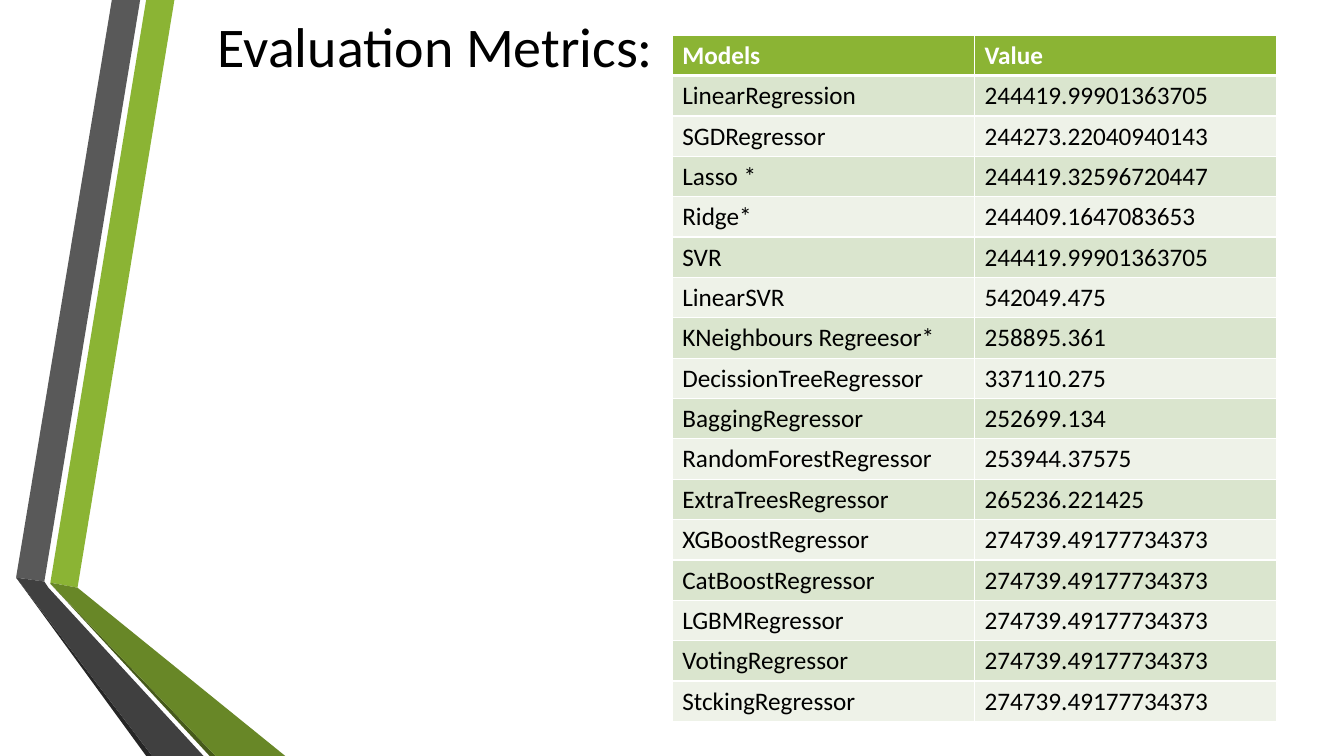
import pptx
import pptx.dml.color
import pptx.enum.text
import pptx.oxml
import pptx.oxml.ns
import pptx.util

Pt = pptx.util.Pt

# Content
TITLE = "Evaluation Metrics:"
HEADER = ("Models", "Value")
SCORES = [
    ("LinearRegression", "244419.99901363705"),
    ("SGDRegressor", "244273.22040940143"),
    ("Lasso *", "244419.32596720447"),
    ("Ridge*", "244409.1647083653"),
    ("SVR", "244419.99901363705"),
    ("LinearSVR", "542049.475"),
    ("KNeighbours Regreesor*", "258895.361"),
    ("DecissionTreeRegressor", "337110.275"),
    ("BaggingRegressor", "252699.134"),
    ("RandomForestRegressor", "253944.37575"),
    ("ExtraTreesRegressor", "265236.221425"),
    ("XGBoostRegressor", "274739.49177734373"),
    ("CatBoostRegressor", "274739.49177734373"),
    ("LGBMRegressor", "274739.49177734373"),
    ("VotingRegressor", "274739.49177734373"),
    ("StckingRegressor", "274739.49177734373"),
]

# Ribbon outlines in points, back to front
RIBBONS = [
    ("8BB434", [(36, 416.2), (55.4, 419.8), (124.6, 0), (104.4, 0)]),
    ("595959", [(100.1, 0), (79.9, 0), (11.5, 412.6), (31.7, 415.4)]),
    ("262626", [(11.5, 412.6), (104.4, 540), (108.7, 540)]),
    ("465A1A", [(36, 416.9), (149.8, 540), (154.1, 540)]),
    ("688727", [(36, 416.9), (154.1, 540), (203.8, 540), (55.4, 419.8), (36, 416.2)]),
    ("404040", [(145.4, 540), (34.6, 419.8), (31.7, 415.4), (11.5, 412.6), (108.7, 540)]),
]

FONT = "Calibri"
WHITE, BLACK, GREEN = "FFFFFF", "000000", "8BB434"
BANDS = ("DAE5CE", "EEF2E8")
TABLE_LEFT, TABLE_TOP, TABLE_HEIGHT = 480.2, 25.2, 489.6
COLUMN_WIDTH, ROW_HEIGHT = 216, 25.2


def color(hex_text):
    return pptx.dml.color.RGBColor.from_string(hex_text)


def style_text(para, size, hex_text, bold=False):
    for span in para.runs:
        span.font.name = FONT
        span.font.size = Pt(size)
        span.font.bold = bold
        span.font.color.rgb = color(hex_text)


def add_ribbon(page, fill, points):
    corners = [(Pt(x), Pt(y)) for x, y in points]
    builder = page.shapes.build_freeform(*corners[0], scale=1.0)
    builder.add_line_segments(corners[1:], close=True)
    shape = builder.convert_to_shape()
    shape.shadow.inherit = False
    shape.fill.solid()
    shape.fill.fore_color.rgb = color(fill)
    shape.line.fill.background()


def set_borders(cell, widths):
    properties = cell._tc.get_or_add_tcPr()
    for position, (side, width) in enumerate(widths.items()):
        border = pptx.oxml.parse_xml(
            f'<a:{side} {pptx.oxml.ns.nsdecls("a")} w="{Pt(width)}"><a:solidFill>'
            f'<a:srgbClr val="{WHITE}"/></a:solidFill></a:{side}>'
        )
        properties.insert(position, border)


def add_title(page):
    box = page.shapes.add_textbox(Pt(-83.5), Pt(0), Pt(789.1), Pt(64.8))
    frame = box.text_frame
    frame.word_wrap = True
    frame.vertical_anchor = pptx.enum.text.MSO_ANCHOR.MIDDLE
    frame.text = TITLE
    para = frame.paragraphs[0]
    para.alignment = pptx.enum.text.PP_ALIGN.CENTER
    style_text(para, 40, BLACK)


def add_scores(page):
    rows = [HEADER] + SCORES
    holder = page.shapes.add_table(
        len(rows), len(HEADER), Pt(TABLE_LEFT), Pt(TABLE_TOP),
        Pt(COLUMN_WIDTH * len(HEADER)), Pt(TABLE_HEIGHT),
    )
    table = holder.table
    for row in table.rows:
        row.height = Pt(ROW_HEIGHT)
    holder.height = Pt(TABLE_HEIGHT)
    for r, values in enumerate(rows):
        is_header = r == 0
        for c, value in enumerate(values):
            cell = table.cell(r, c)
            cell.text = value
            style_text(cell.text_frame.paragraphs[0], 18,
                       WHITE if is_header else BLACK, is_header)
            cell.fill.solid()
            cell.fill.fore_color.rgb = color(GREEN if is_header else BANDS[(r - 1) % 2])
            set_borders(cell, {"lnL": 1, "lnR": 1, "lnT": 3 if r == 1 else 1,
                               "lnB": 3 if is_header else 1})


def main():
    deck = pptx.Presentation()
    deck.slide_width, deck.slide_height = Pt(960), Pt(540)
    page = deck.slides.add_slide(deck.slide_layouts[6])
    for fill, points in RIBBONS:
        add_ribbon(page, fill, points)
    add_title(page)
    add_scores(page)
    deck.save("out.pptx")


if __name__ == "__main__":
    main()
